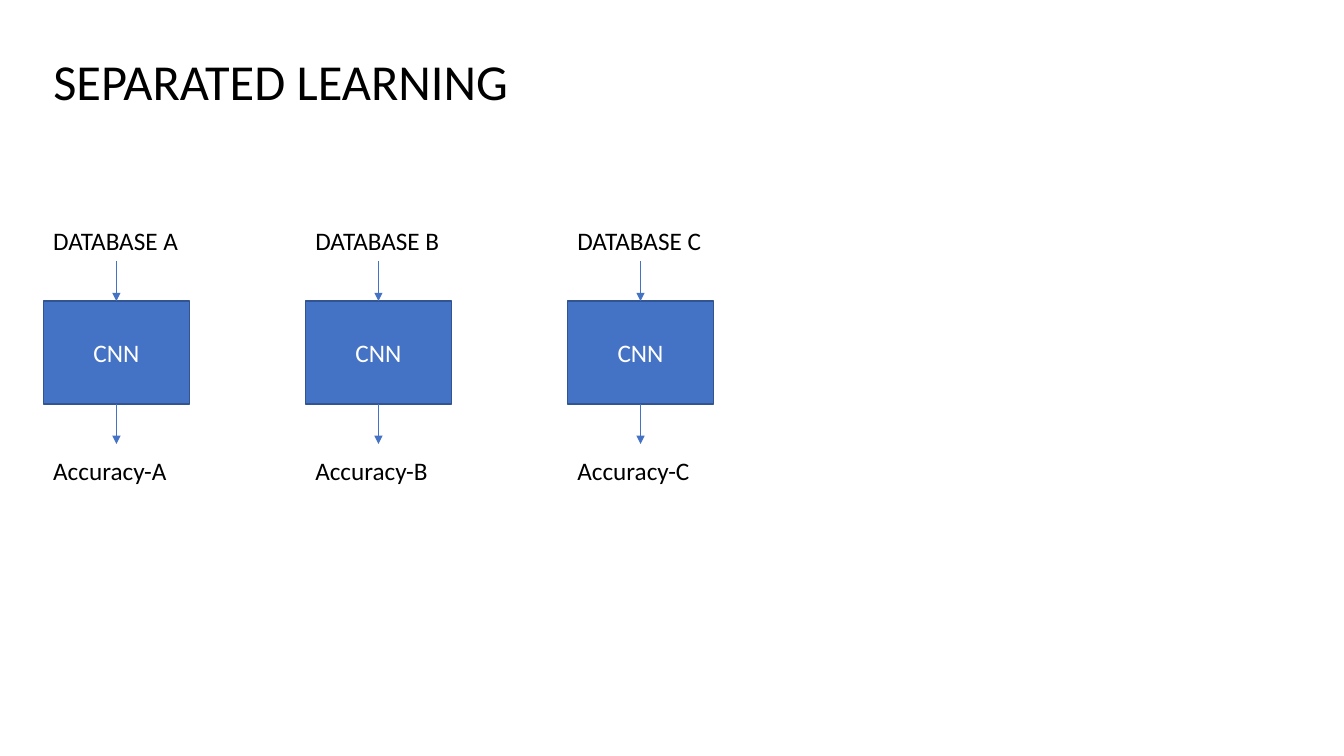
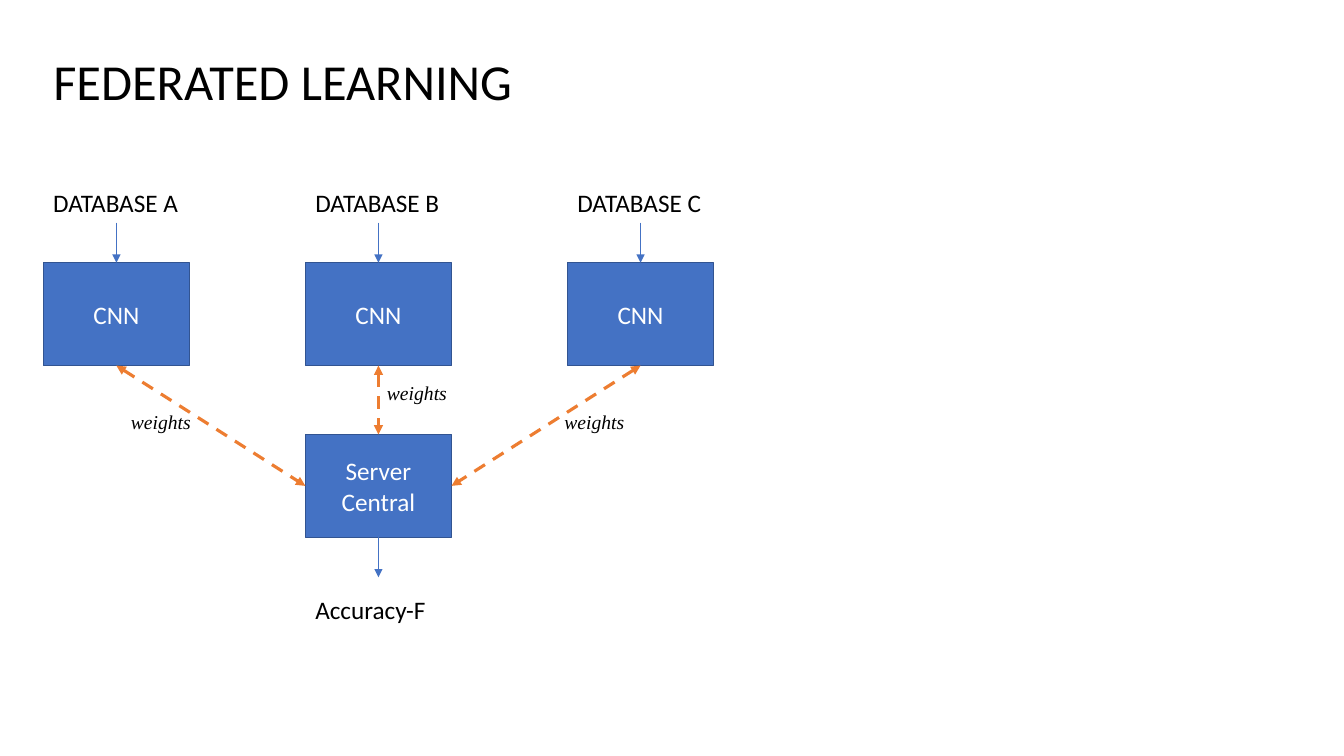
from dataclasses import dataclass
from lxml.etree import SubElement
from pptx import Presentation
from pptx.dml.color import RGBColor
from pptx.enum.dml import MSO_LINE
from pptx.enum.shapes import MSO_CONNECTOR, MSO_SHAPE
from pptx.enum.text import MSO_ANCHOR, MSO_AUTO_SIZE, PP_ALIGN
from pptx.oxml.ns import qn
from pptx.util import Inches, Pt


@dataclass(frozen=True)
class Theme:
    ink: str = "000000"
    paper: str = "FFFFFF"
    blue: str = "4472C4"
    edge: str = "325491"
    orange: str = "ED7D31"
    sans: str = "Calibri"
    serif: str = "Times New Roman"
    head: int = 36
    body: int = 18
    note: int = 14
    thin: float = 0.5
    rim: float = 1
    thick: float = 2.25


LEFT, STEP = 3.22, 19.5
WIDE, TALL = 10.88, 13.6
LABEL, DROP = 5.33, 5.3
TOP, LEFT_SIDE, BASE, RIGHT_SIDE = range(4)
NAMES = "ABC"


def column(index):
    return LEFT + index * STEP


class Deck:
    def __init__(self, theme):
        self.theme = theme
        self.show = Presentation()
        self.show.slide_width = Inches(13.33)
        self.show.slide_height = Inches(7.5)
        self.slide = None

    def across(self, share):
        return round(self.show.slide_width * share / 100)

    def down(self, share):
        return round(self.show.slide_height * share / 100)

    def area(self, left, top, width, height):
        return self.across(left), self.down(top), self.across(width), self.down(height)

    def letter(self, shape, text, size, color, font=None, align=PP_ALIGN.LEFT, slant=False):
        para = shape.text_frame.paragraphs[0]
        para.alignment = align
        run = para.add_run()
        run.text = text
        run.font.size = Pt(size)
        run.font.name = font or self.theme.sans
        run.font.italic = slant
        run.font.color.rgb = RGBColor.from_string(color)

    def start(self, text):
        self.slide = self.show.slides.add_slide(self.show.slide_layouts[5])
        title = self.slide.shapes.title
        title.left, title.top, title.width, title.height = self.area(LEFT, 6, 36, 9.47)
        frame = title.text_frame
        frame.word_wrap = True
        frame.auto_size = MSO_AUTO_SIZE.NONE
        frame.vertical_anchor = MSO_ANCHOR.TOP
        self.letter(title, text, self.theme.head, self.theme.ink)

    def label(self, left, top, text):
        return self.text(left, top, WIDE, LABEL, text, self.theme.body)

    def note(self, left, top, text):
        return self.text(left, top, 6, 4.53, text, self.theme.note, self.theme.serif, True)

    def text(self, left, top, width, height, text, size, font=None, slant=False):
        area = self.area(left, top, width, height)
        shape = self.slide.shapes.add_textbox(*area)
        shape.text_frame.word_wrap = True
        shape.text_frame.margin_right = 0
        self.letter(shape, text, size, self.theme.ink, font, slant=slant)
        return shape

    def box(self, left, top, text):
        area = self.area(left, top, WIDE, TALL)
        shape = self.slide.shapes.add_shape(MSO_SHAPE.RECTANGLE, *area)
        shape.shadow.inherit = False
        shape.fill.solid()
        shape.fill.fore_color.rgb = RGBColor.from_string(self.theme.blue)
        shape.line.color.rgb = RGBColor.from_string(self.theme.edge)
        shape.line.width = Pt(self.theme.rim)
        shape.text_frame.vertical_anchor = MSO_ANCHOR.MIDDLE
        self.letter(shape, text, self.theme.body, self.theme.paper, align=PP_ALIGN.CENTER)
        return shape

    def arrow(self, color, width, ends):
        line = self.slide.shapes.add_connector(MSO_CONNECTOR.STRAIGHT, 0, 0, 0, 0)
        line.line.color.rgb = RGBColor.from_string(color)
        line.line.width = Pt(width)
        if len(ends) > 1:
            line.line.dash_style = MSO_LINE.DASH
        props = line.element.spPr
        stroke = props.find(qn("a:ln"))
        for end in ends:
            SubElement(stroke, qn(f"a:{end}"), type="triangle")
        SubElement(props, qn("a:effectLst"))
        return line

    def flow(self, source, target=None):
        line = self.arrow(self.theme.blue, self.theme.thin, ["tailEnd"])
        line.begin_connect(source, BASE)
        if target is not None:
            line.end_connect(target, TOP)
        else:
            line.end_x = line.begin_x
            line.end_y = line.begin_y + self.down(DROP)

    def swap(self, source, target, side):
        line = self.arrow(self.theme.orange, self.theme.thick, ["headEnd", "tailEnd"])
        line.begin_connect(source, BASE)
        line.end_connect(target, side)

    def branch(self, index, top):
        left = column(index)
        label = self.label(left, top, f"DATABASE {NAMES[index]}")
        box = self.box(left, top + LABEL + DROP, "CNN")
        self.flow(label, box)
        return box

    def result(self, index, top, box, name):
        self.flow(box)
        self.label(column(index), top, f"Accuracy-{name}")


def main():
    deck = Deck(Theme())

    deck.start("SEPARATED LEARNING")
    for index, name in enumerate(NAMES):
        deck.result(index, 59.6, deck.branch(index, 29.2), name)

    deck.start("FEDERATED LEARNING")
    nodes = [deck.branch(index, 24.13) for index in range(len(NAMES))]
    hub = deck.box(column(1), 57.47, "Server Central")
    for node, side in zip(nodes, (LEFT_SIDE, TOP, RIGHT_SIDE)):
        deck.swap(node, hub, side)
    deck.result(1, 78, hub, "F")
    for left, top in ((9, 53.6), (28.05, 49.73), (41.25, 53.6)):
        deck.note(left, top, "weights")

    deck.show.save("out.pptx")


if __name__ == "__main__":
    main()
